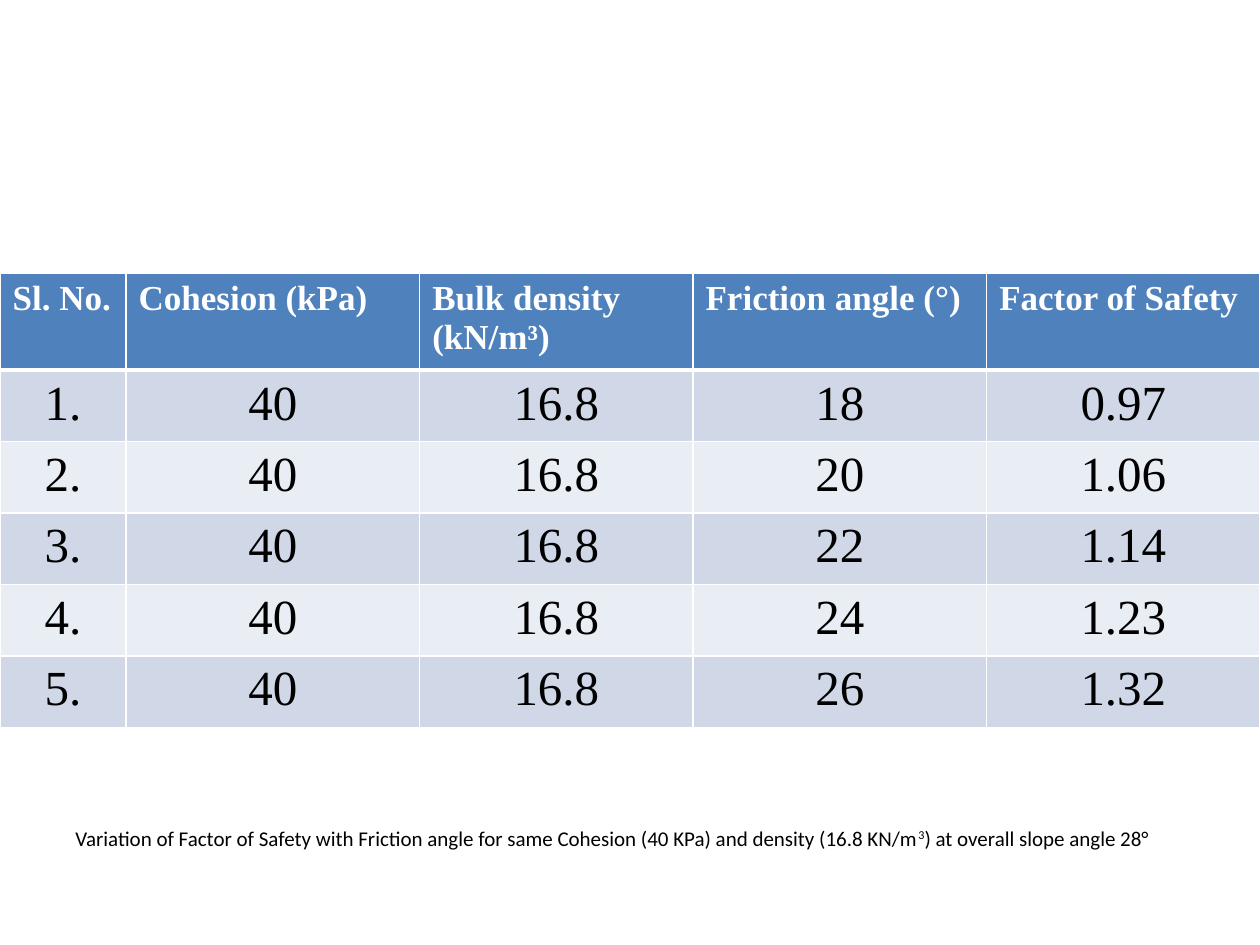
from lxml import etree
from pptx import Presentation
from pptx import util as u
from pptx.dml import color
from pptx.enum import text
from pptx.oxml import ns

# Content
HEADINGS = ["Sl. No.", "Cohesion (kPa)", "Bulk density (kN/m³)",
            "Friction angle (°)", "Factor of Safety"]
COHESION, DENSITY = "40", "16.8"
SAFETY_BY_ANGLE = [("18", "0.97"), ("20", "1.06"), ("22", "1.14"),
                   ("24", "1.23"), ("26", "1.32")]
CAPTION = [  # text, baseline shift in thousandths of a percent
    ("Variation of Factor of Safety with Friction angle for same Cohesion "
     "(40 KPa) and density (16.8 KN/m", 0),
    ("3", 30000),
    (") at overall slope angle 28°", 0),
]

# Layout in centimetres
COLUMN_WIDTHS = [2.54, 5.92, 5.51, 5.92, 5.51]
HEADER_HEIGHT, BODY_HEIGHT = 1.93, 1.44
TABLE_TOP = 5.51

# Formats
HEADER_FONT = {"name": "Times New Roman", "size": u.Pt(20), "bold": True}
BODY_FONT = {"name": "Times New Roman", "size": u.Pt(28), "bold": False}
CAPTION_FONT = {"name": "Calibri", "size": u.Pt(12)}
WHITE, BLACK = "FFFFFF", "000000"
HEADER_FILL, BAND_FILLS = "4F81BD", ["D0D8E8", "E9EDF4"]


def paint(target, hex_colour):
    target.rgb = color.RGBColor.from_string(hex_colour)


def add_span(para, words, font, hex_colour):
    span = para.add_run()
    span.text = words
    for name, value in font.items():
        setattr(span.font, name, value)
    paint(span.font.color, hex_colour)
    return span


def add_borders(cell, bottom_width):
    properties = cell._tc.get_or_add_tcPr()
    for side, width in zip("LRTB", (1, 1, 1, bottom_width)):
        line = etree.SubElement(properties, ns.qn(f"a:ln{side}"), w=str(u.Pt(width)))
        fill = etree.SubElement(line, ns.qn("a:solidFill"))
        etree.SubElement(fill, ns.qn("a:srgbClr"), val=WHITE)


def fill_cell(cell, words, font, hex_colour, fill, align, bottom_width):
    add_borders(cell, bottom_width)
    cell.fill.solid()
    paint(cell.fill.fore_color, fill)
    para = cell.text_frame.paragraphs[0]
    para.alignment = align
    add_span(para, words, font, hex_colour)


def add_safety_table(page):
    rows = [HEADINGS] + [[f"{number}.", COHESION, DENSITY, angle, factor]
                         for number, (angle, factor) in enumerate(SAFETY_BY_ANGLE, 1)]
    heights = [HEADER_HEIGHT] + [BODY_HEIGHT] * len(SAFETY_BY_ANGLE)
    table = page.shapes.add_table(
        len(rows), len(HEADINGS), u.Cm(0), u.Cm(TABLE_TOP),
        u.Cm(sum(COLUMN_WIDTHS)), u.Cm(sum(heights))).table
    for column, width in zip(table.columns, COLUMN_WIDTHS):
        column.width = u.Cm(width)
    for index, (row, height) in enumerate(zip(rows, heights)):
        table.rows[index].height = u.Cm(height)
        if index == 0:
            style = (HEADER_FONT, WHITE, HEADER_FILL, text.PP_ALIGN.LEFT, 3)
        else:
            band = BAND_FILLS[(index - 1) % 2]
            style = (BODY_FONT, BLACK, band, text.PP_ALIGN.CENTER, 1)
        for cell, words in zip(table.rows[index].cells, row):
            fill_cell(cell, words, *style)


def add_caption(page):
    box = page.shapes.add_textbox(u.Cm(1.27), u.Cm(16.51), u.Cm(22.61), u.Cm(0.77))
    box.text_frame.word_wrap = False
    box.text_frame.auto_size = text.MSO_AUTO_SIZE.SHAPE_TO_FIT_TEXT
    para = box.text_frame.paragraphs[0]
    for words, baseline in CAPTION:
        span = add_span(para, words, CAPTION_FONT, BLACK)
        if baseline:
            span._r.get_or_add_rPr().set("baseline", str(baseline))


def main():
    deck = Presentation()
    deck.slide_width, deck.slide_height = u.Cm(25.4), u.Cm(19.05)
    page = deck.slides.add_slide(deck.slide_layouts[6])
    add_caption(page)
    add_safety_table(page)
    deck.save("out.pptx")


if __name__ == "__main__":
    main()
